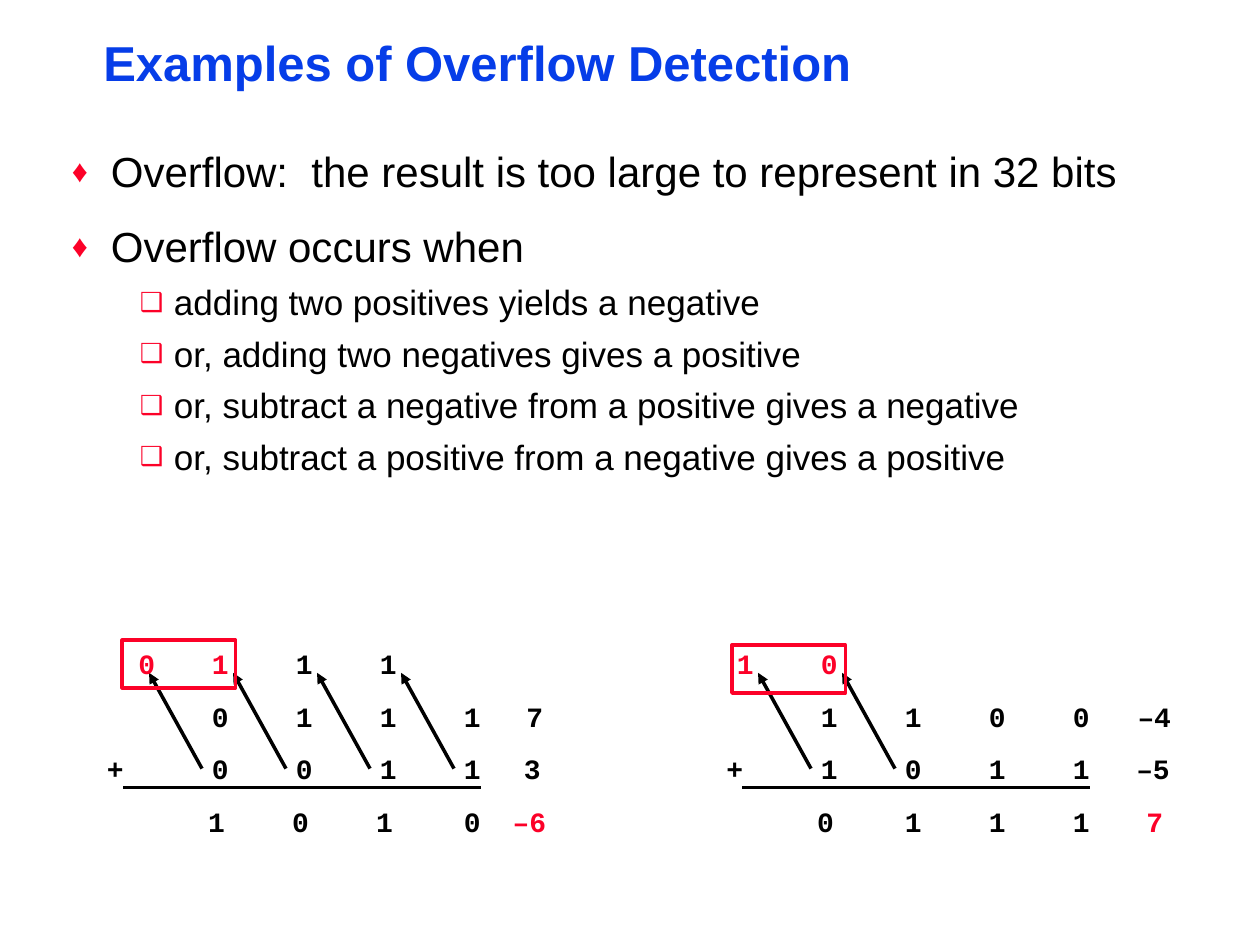
import pptx
import pptx.util
import pptx.dml.color
import pptx.enum.shapes
import pptx.enum.text
import pptx.oxml.ns
import lxml.etree

inch = pptx.util.Inches
pt = pptx.util.Pt
qn = pptx.oxml.ns.qn
sub = lxml.etree.SubElement
BLACK, RED, BLUE = "000000", "FC0128", "063DE8"
UNIT = 1 / 12  # grid unit in inches
STEP = 8       # units between digit columns

deck = pptx.Presentation()
deck.slide_width, deck.slide_height = inch(10), inch(7.5)
slide = deck.slides.add_slide(deck.slide_layouts[5])


def write(para, text, face, size, hue, bold=False):
    """Fill a paragraph with text in one font."""
    para.text = text
    font = para.font
    font.name, font.size, font.bold = face, pt(size), bold
    font.color.rgb = pptx.dml.color.RGBColor.from_string(hue)


def draw(start, end, tip=False):
    """Draw a black line between two points, with an arrowhead if asked."""
    line = slide.shapes.add_connector(
        pptx.enum.shapes.MSO_CONNECTOR.STRAIGHT, *map(inch, start + end))
    line.line.width = pt(2)
    line.line.color.rgb = pptx.dml.color.RGBColor.from_string(BLACK)
    if tip:
        sub(line.line._get_or_add_ln(), qn("a:tailEnd"), type="triangle")
    sub(line._element.spPr, qn("a:effectLst"))


# Title and bullet list
title = slide.shapes.title
title.left, title.top, title.width, title.height = map(inch, (0.75, 0.29, 6.15, 0.47))
body = slide.shapes.add_textbox(*map(inch, (0.5, 1.17, 9.08, 3.35)))
for box in (title, body):
    frame = box.text_frame
    frame.margin_left = frame.margin_right = inch(0.07)
    frame.margin_top = frame.margin_bottom = inch(0.03)
    frame.vertical_anchor = pptx.enum.text.MSO_ANCHOR.TOP
    frame.auto_size = pptx.enum.text.MSO_AUTO_SIZE.NONE
    frame.word_wrap = box is body
head = title.text_frame.paragraphs[0]
write(head, "Examples of Overflow Detection", "Arial", 28, BLUE, True)
head.alignment = pptx.enum.text.PP_ALIGN.LEFT
head.line_spacing = 0.87

# Per level: size, line spacing, space before, margin, indent, bullet
levels = [(24, 0.9, 17, 0.31, -0.31, "\u2666"),
          (20, 0.85, 9, 0.81, -0.27, "\u2751")]
points = [
    (0, "Overflow:  the result is too large to represent in 32 bits"),
    (0, "Overflow occurs when"),
    (1, "adding two positives yields a negative"),
    (1, "or, adding two negatives gives a positive"),
    (1, "or, subtract a negative from a positive gives a negative"),
    (1, "or, subtract a positive from a negative gives a positive"),
]
for i, (level, text) in enumerate(points):
    size, space, gap, left, dent, mark = levels[level]
    para = body.text_frame.paragraphs[0] if i == 0 else body.text_frame.add_paragraph()
    write(para, text, "Arial", size, BLACK)
    para.level = level
    para.line_spacing = space
    para.space_before = pt(gap if i else 0)
    props = para._p.get_or_add_pPr()
    props.set("marL", str(inch(left)))
    props.set("indent", str(inch(dent)))
    sub(sub(props, qn("a:buClr")), qn("a:srgbClr"), val=RED)
    sub(props, qn("a:buSzPct"), val="75000")
    sub(props, qn("a:buFont"), typeface="Arial")
    sub(props, qn("a:buChar"), char=mark)

# Per sum: first digit column and plus sign in units, carries, addends and
# result, lefts of the decimal values, shifted result digits, rule, frame
sums = [
    dict(base=19, plus=9, carry="0111", rows=["0111", "0011", "1010"],
         values=["7", "3", "\u20136"], lefts=[4.08, 4.06, 3.97],
         lead=1.0, shift=3, rule=(0.98, 3.82), frame=(0.97, 5.08)),
    dict(base=77, plus=68, carry="10", rows=["1100", "1011", "0111"],
         values=["\u20134", "\u20135", "7"], lefts=[8.93, 8.92, 9],
         lead=5.75, shift=1, rule=(5.89, 8.65), frame=(5.81, 5.12)),
]
for item in sums:
    base = item["base"]
    cells = [(item["plus"] * UNIT, 2, "+", BLACK)]
    for col, digit in enumerate(item["carry"]):
        x = (base + (col - 1) * STEP) * UNIT if col else item["lead"]
        cells.append((x, 0, digit, RED if col < 2 else BLACK))
        tail = (base + col * STEP) * UNIT + 0.02
        draw((tail, 6.1), (tail - 0.42, 5.34), True)
    for row, digits in enumerate(item["rows"], 1):
        for col, digit in enumerate(digits):
            nudge = 0.03 if row == 3 and col < item["shift"] else 0
            cells.append(((base + col * STEP) * UNIT - nudge, row, digit, BLACK))
        cells.append((item["lefts"][row - 1], row, item["values"][row - 1],
                      RED if row == 3 else BLACK))
    for x, row, text, hue in cells:
        cell = slide.shapes.add_textbox(
            inch(x), inch((61 + 5 * row) * UNIT),
            inch(0.2 + 0.135 * len(text)), inch(0.37))
        cell.text_frame.word_wrap = False
        write(cell.text_frame.paragraphs[0], text, "Courier New", 16, hue, True)
    first, last = item["rule"]
    draw((first, 6.25), (last, 6.25))
    frame = slide.shapes.add_shape(
        pptx.enum.shapes.MSO_SHAPE.RECTANGLE, *map(inch, item["frame"] + (0.9, 0.38)))
    frame.shadow.inherit = False
    frame.fill.background()
    frame.line.width = pt(2)
    frame.line.color.rgb = pptx.dml.color.RGBColor.from_string(RED)

deck.save("out.pptx")
